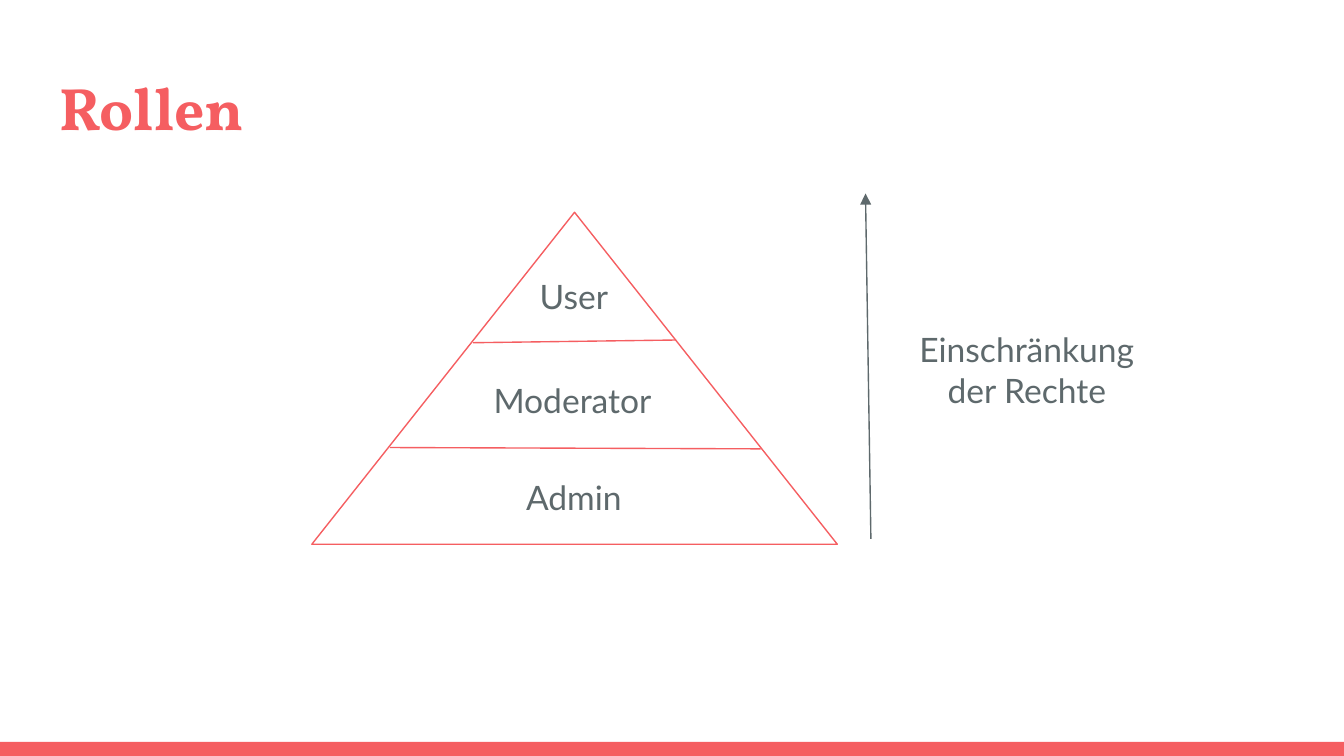
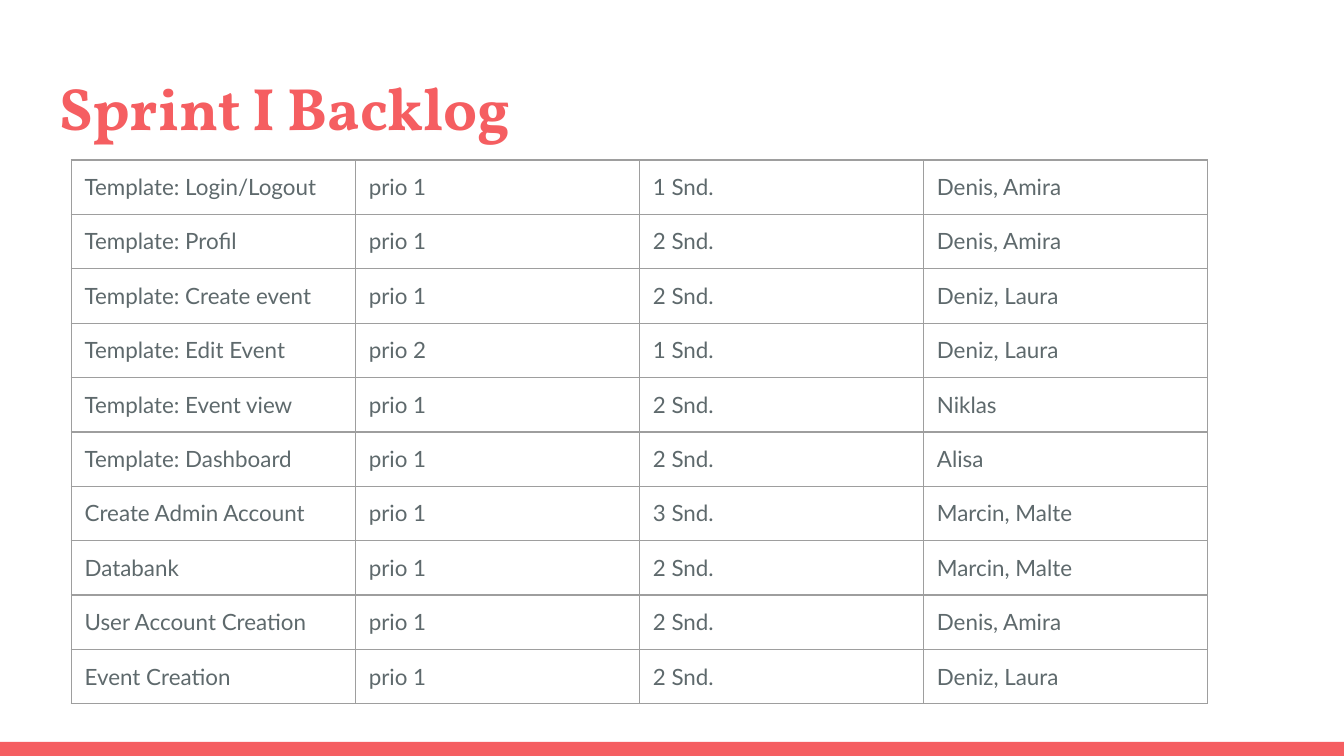
"""Build two slides: the pyramid of roles and the backlog of the first sprint."""
from typing import NamedTuple

from lxml import etree
from pptx import Presentation
from pptx.dml.color import RGBColor
from pptx.enum.shapes import MSO_CONNECTOR, MSO_SHAPE
from pptx.enum.text import MSO_ANCHOR, MSO_AUTO_SIZE, PP_ALIGN
from pptx.oxml.ns import qn
from pptx.util import Inches, Pt

CORAL = RGBColor(0xF5, 0x5E, 0x61)
SLATE = RGBColor(0x5E, 0x69, 0x6C)
GRAY = RGBColor(0x9E, 0x9E, 0x9E)
WHITE = RGBColor(0xFF, 0xFF, 0xFF)
TITLE_FONT, BODY_FONT = "Vollkorn", "Lato"
STRAIGHT = MSO_CONNECTOR.STRAIGHT
RECTANGLE, TRIANGLE = MSO_SHAPE.RECTANGLE, MSO_SHAPE.ISOSCELES_TRIANGLE
TOP, NO_FIT = MSO_ANCHOR.TOP, MSO_AUTO_SIZE.NONE
LEFT, CENTER = PP_ALIGN.LEFT, PP_ALIGN.CENTER

UNIT = Inches(0.1)
COLS, ROWS = 100, 56.25
INSET = 1
THIN = Pt(0.75)
TITLE_ONLY = 5


class Box(NamedTuple):
    """Left, top, width and height in grid units."""
    x: float
    y: float
    w: float
    h: float


class Label(NamedTuple):
    """A centred text and its box."""
    text: str
    box: Box


class Line(NamedTuple):
    """A straight line between two grid points."""
    x1: float
    y1: float
    x2: float
    y2: float
    color: RGBColor
    arrow: bool = False


BAND = Box(0, 55.2, COLS, ROWS - 55.2)
TITLE = Box(3.4, 4.3, COLS - 2 * 3.4, 6.8)
PYRAMID = Box(23.2, 15.8, 39.1, 24.7)
LINES = [
    Line(35.2, 25.5, 50.3, 25.3, CORAL),
    Line(29, 33.3, 56.6, 33.4, CORAL),
    Line(64.8, 40.1, 64.4, 14.4, SLATE, arrow=True),
]
LABELS = [
    Label("Admin", Box(37.7, 34.5, 10, 5.3)),
    Label("Moderator", Box(34.6, 27.3, 16, 5.3)),
    Label("User", Box(37.7, 19.5, 10, 5.3)),
    Label("Einschränkung der Rechte", Box(67.3, 23.5, 18.2, 8)),
]
TABLE_X, TABLE_Y = 5.3, 11.9
COL_W, ROW_H = 21.14, 4.05
BACKLOG = [
    ("Template: Login/Logout", "prio 1", "1 Snd.", "Denis, Amira"),
    ("Template: Profil", "prio 1", "2 Snd.", "Denis, Amira"),
    ("Template: Create event", "prio 1", "2 Snd.", "Deniz, Laura"),
    ("Template: Edit Event", "prio 2", "1 Snd.", "Deniz, Laura"),
    ("Template: Event view", "prio 1", "2 Snd.", "Niklas"),
    ("Template: Dashboard", "prio 1", "2 Snd.", "Alisa"),
    ("Create Admin Account", "prio 1", "3 Snd.", "Marcin, Malte"),
    ("Databank", "prio 1", "2 Snd.", "Marcin, Malte"),
    ("User Account Creation", "prio 1", "2 Snd.", "Denis, Amira"),
    ("Event Creation", "prio 1", "2 Snd.", "Deniz, Laura"),
]


def grid(*units: float) -> list[int]:
    """Turn grid units into lengths."""
    return [round(u * UNIT) for u in units]


def set_margins(target) -> None:
    """Give a text frame or a cell equal insets."""
    for side in ("left", "top", "right", "bottom"):
        setattr(target, f"margin_{side}", grid(INSET)[0])


def write(tf, text: str, size: float, align=LEFT, name=BODY_FONT, color=SLATE, bold=False) -> None:
    """Fill a text frame with one formatted paragraph."""
    tf.text = text
    p = tf.paragraphs[0]
    p.alignment = align
    font = p.font
    font.name, font.size, font.bold = name, Pt(size), bold
    font.color.rgb = color


def set_up_frame(tf) -> None:
    """Make a text frame wrap, start at the top and keep its size."""
    tf.word_wrap, tf.auto_size, tf.vertical_anchor = True, NO_FIT, TOP
    set_margins(tf)


def add_figure(s, kind, box: Box, fill: RGBColor, line: RGBColor | None = None):
    """Add a flat preset shape."""
    sp = s.shapes.add_shape(kind, *grid(*box))
    sp.shadow.inherit = False
    sp.fill.solid()
    sp.fill.fore_color.rgb = fill
    if line is None:
        sp.line.fill.background()
    else:
        sp.line.color.rgb = line
        sp.line.width = THIN
    return sp


def add_line(s, line: Line) -> None:
    """Add a thin line, with an arrowhead at its end if wanted."""
    cx = s.shapes.add_connector(STRAIGHT, *grid(line.x1, line.y1, line.x2, line.y2))
    cx.line.color.rgb = line.color
    cx.line.width = THIN
    props = cx.element.spPr
    if line.arrow:
        etree.SubElement(props.find(qn("a:ln")), qn("a:tailEnd"), type="triangle")
    etree.SubElement(props, qn("a:effectLst"))


def add_label(s, label: Label) -> None:
    """Add a centred text box."""
    tf = s.shapes.add_textbox(*grid(*label.box)).text_frame
    set_up_frame(tf)
    write(tf, label.text, 18, CENTER)


def set_borders(cell) -> None:
    """Draw a thin gray border on all four sides of a cell."""
    props = cell._tc.get_or_add_tcPr()
    for i, side in enumerate(("lnL", "lnR", "lnT", "lnB")):
        ln = etree.Element(qn(f"a:{side}"), w=str(THIN))
        fill = etree.SubElement(ln, qn("a:solidFill"))
        etree.SubElement(fill, qn("a:srgbClr"), val=str(GRAY))
        props.insert(i, ln)


def add_backlog(s) -> None:
    """Add the backlog table."""
    n_rows, n_cols = len(BACKLOG), len(BACKLOG[0])
    box = Box(TABLE_X, TABLE_Y, COL_W * n_cols, ROW_H * n_rows)
    table = s.shapes.add_table(n_rows, n_cols, *grid(*box)).table
    table.first_row = table.horz_banding = False
    for column in table.columns:
        column.width = grid(COL_W)[0]
    for row, task in zip(table.rows, BACKLOG):
        row.height = grid(ROW_H)[0]
        for cell, text in zip(row.cells, task):
            set_margins(cell)
            cell.fill.background()
            set_borders(cell)
            write(cell.text_frame, text, 12)


def set_up_layout(layout, s) -> None:
    """Place the title and the bottom band on the layout."""
    title = next(sp for sp in layout.placeholders if sp.placeholder_format.idx == 0)
    title.left, title.top, title.width, title.height = grid(*TITLE)
    set_up_frame(title.text_frame)
    band = add_figure(s, RECTANGLE, BAND, CORAL)
    layout.shapes.element.append(band.element)


def add_title(s, text: str) -> None:
    """Fill the title placeholder."""
    write(s.shapes.title.text_frame, text, 32, LEFT, TITLE_FONT, CORAL, True)


def main() -> None:
    """Build and save the presentation."""
    prs = Presentation()
    prs.slide_width, prs.slide_height = grid(COLS, ROWS)
    layout = prs.slide_layouts[TITLE_ONLY]
    roles, sprint = (prs.slides.add_slide(layout) for _ in range(2))
    set_up_layout(layout, roles)

    add_title(roles, "Rollen")
    add_figure(roles, TRIANGLE, PYRAMID, WHITE, CORAL)
    for line in LINES:
        add_line(roles, line)
    for label in LABELS:
        add_label(roles, label)

    add_title(sprint, "Sprint I Backlog")
    add_backlog(sprint)
    prs.save("out.pptx")


if __name__ == "__main__":
    main()
